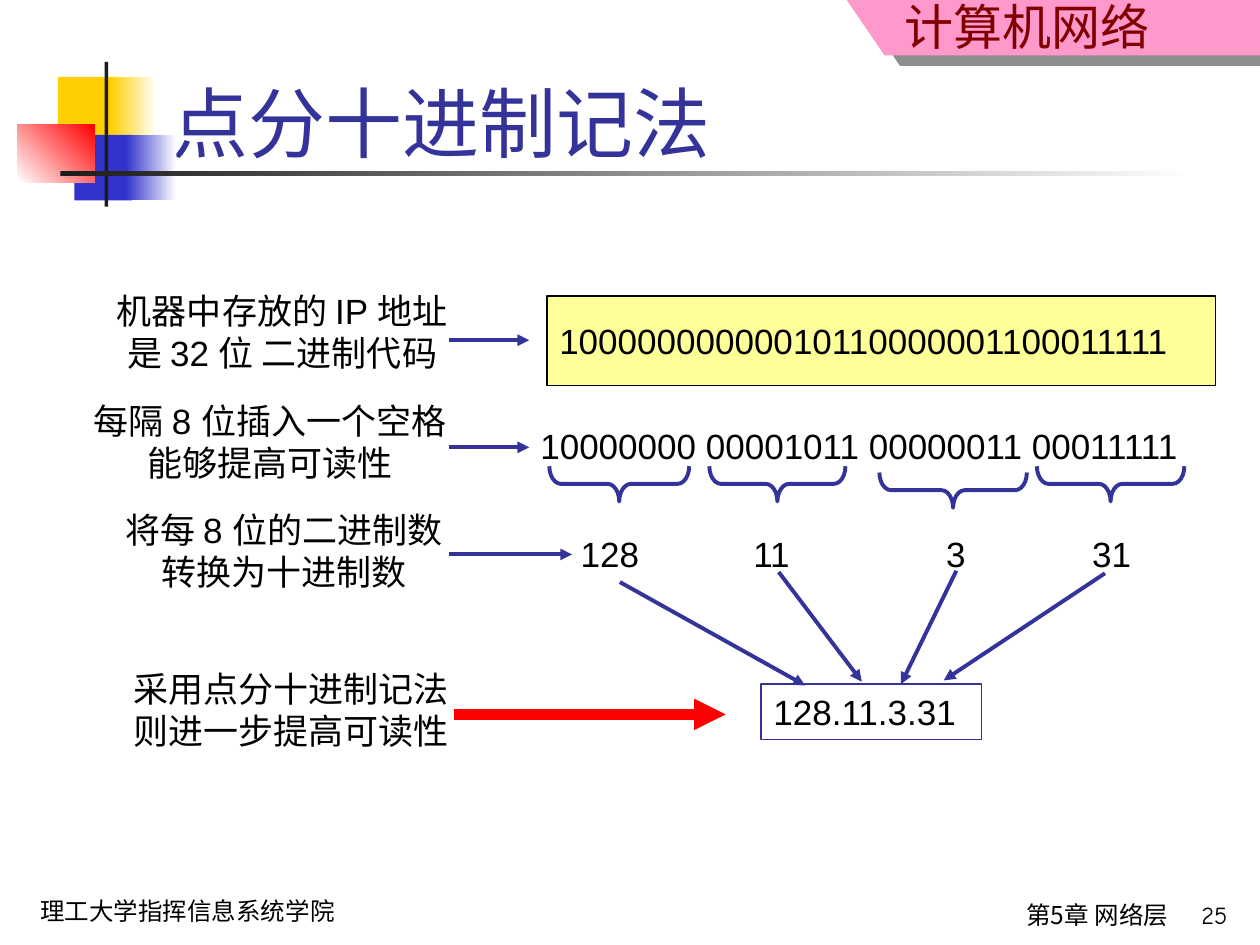
from collections import namedtuple

from lxml import etree
from pptx import Presentation
from pptx import util as u
from pptx.dml.color import RGBColor
from pptx.enum import shapes, text
from pptx.oxml import ns

COLS, ROWS = 100, 75
ARIAL, COMIC, NOTO = "Arial", "Comic Neue", "Noto Sans CJK SC"
LEFT, CENTER, RIGHT = text.PP_ALIGN.LEFT, text.PP_ALIGN.CENTER, text.PP_ALIGN.RIGHT
C = {
    "gold": "FFCF01", "blue": "3333CC", "red": "FF0000", "white": "FFFFFF",
    "dark": "1C1C1C", "pink": "FF99CC", "maroon": "800000", "black": "000000",
    "navy": "333399", "yellow": "FFFF99",
}
Box = namedtuple("Box", "x y w h")


def grid(n):
    """Turn grid units into a length."""
    return u.Inches(n / 10)


def inside(box, x, y, w, h):
    """Return a box offset from the corner of another box."""
    return Box(box.x + x, box.y + y, w, h)


def rgb(name):
    """Look up a colour."""
    return RGBColor.from_string(C[name])


def add_el(parent, tag, **attrs):
    """Append a drawing element."""
    return etree.SubElement(parent, ns.qn(tag), {k: str(v) for k, v in attrs.items()})


def style(sp, fill=None, line=None, width=0.75):
    """Set fill and outline and drop the shadow."""
    sp.shadow.inherit = False
    if fill:
        sp.fill.solid()
        sp.fill.fore_color.rgb = rgb(fill)
    else:
        sp.fill.background()
    if line:
        sp.line.color.rgb = rgb(line)
        sp.line.width = u.Pt(width)
    else:
        sp.line.fill.background()
    return sp


def shape(s, kind, box, **look):
    """Add a preset shape."""
    return style(s.shapes.add_shape(kind, *map(grid, box)), **look)


def rect(s, box, **look):
    """Add a rectangle."""
    return shape(s, shapes.MSO_SHAPE.RECTANGLE, box, **look)


def faded(s, box, start, end, angle=0):
    """Add a rectangle with a linear gradient."""
    sp = rect(s, box)
    sp.fill.gradient()
    sp.fill.gradient_angle = angle
    for stop, name, pos in zip(sp.fill.gradient_stops, (start, end), (0, 1)):
        stop.color.rgb = rgb(name)
        stop.position = pos


def write(sp, lines, size=20, font=ARIAL, color="black", align=LEFT,
          wrap=False, anchor=text.MSO_ANCHOR.TOP, tabs=()):
    """Fill a shape with one paragraph for each line."""
    tf = sp.text_frame
    tf.word_wrap = wrap
    tf.auto_size = text.MSO_AUTO_SIZE.NONE
    tf.vertical_anchor = anchor
    for i, line in enumerate(lines):
        p = tf.add_paragraph() if i else tf.paragraphs[0]
        p.alignment = align
        if tabs:
            stops = add_el(p._p.get_or_add_pPr(), "a:tabLst")
            for stop in tabs:
                add_el(stops, "a:tab", pos=grid(stop), algn="l")
        r = p.add_run()
        r.text = line
        r.font.size = u.Pt(size)
        r.font.name = font
        r.font.color.rgb = rgb(color)
        add_el(r._r.get_or_add_rPr(), "a:ea", typeface=NOTO)
    return tf


def label(s, box, *lines, **look):
    """Add a text box."""
    return write(s.shapes.add_textbox(*map(grid, box)), lines, **look)


def arrow(s, x1, y1, x2, y2, color="navy", width=2.25):
    """Add a straight arrow."""
    ln = s.shapes.add_connector(shapes.MSO_CONNECTOR.STRAIGHT, *map(grid, (x1, y1, x2, y2)))
    ln.line.color.rgb = rgb(color)
    ln.line.width = u.Pt(width)
    add_el(ln.line._get_or_add_ln(), "a:tailEnd", type="triangle")
    add_el(ln._element.spPr, "a:effectLst")


def brace(s, x, y, w, h):
    """Add a brace that opens upward over a box."""
    box = Box(x + (w - h) / 2, y + (h - w) / 2, h, w)
    sp = shape(s, shapes.MSO_SHAPE.LEFT_BRACE, box, line="navy", width=2.25)
    sp.rotation = 270
    sp.adjustments[0] = 0.33


def ornament(s, box):
    """Draw the coloured squares and crossed rules beside the title."""
    rect(s, inside(box, 3.2, 1.2, 4.8, 5.2), fill="gold")
    faded(s, inside(box, 7.4, 1.2, 3.6, 5.2), "gold", "white")
    rect(s, inside(box, 4.5, 5.8, 4.6, 5.2), fill="blue")
    faded(s, inside(box, 8.6, 5.8, 4, 5.2), "blue", "white")
    faded(s, inside(box, 0, 5, 6.1, 4.6), "white", "red", 45)
    rect(s, inside(box, 6.9, 0, 0.3, box.h), fill="dark")
    faded(s, inside(box, 3.4, 8.7, 90, 0.4), "dark", "white")


def banner(s, box):
    """Draw the slanted course banner in the corner."""
    right, bottom = box.x + box.w, box.y + box.h
    fb = s.shapes.build_freeform(grid(box.x), grid(box.y))
    fb.add_line_segments([(grid(x), grid(y)) for x, y in
                          ((box.x + 3, bottom), (right, bottom), (right, box.y))])
    sp = style(fb.convert_to_shape(), fill="pink")
    effects = sp._element.spPr.find(ns.qn("a:effectLst"))
    shadow = add_el(effects, "a:outerShdw", dist=u.Pt(10.8), dir=34 * 60000,
                    algn="ctr", rotWithShape=0)
    add_el(add_el(shadow, "a:srgbClr", val=C["dark"]), "a:alpha", val=50000)
    tf = label(s, inside(box, -9, -0.3, 34, 5.2), "计算机网络", size=28, font=NOTO,
               color="maroon", align=RIGHT, wrap=True)
    tf.margin_top = 0


def title(s, box):
    """Place and format the title."""
    sp = s.shapes.title
    sp.left, sp.top, sp.width, sp.height = map(grid, box)
    write(sp, ["点分十进制记法"], size=44, color="navy", wrap=True,
          anchor=text.MSO_ANCHOR.BOTTOM)


def footer(s, box):
    """Write the school, the chapter and the page number."""
    label(s, inside(box, 0, 0, 31.1, 3.4), "理工大学指挥信息系统学院",
          size=14, font=COMIC, wrap=True)
    label(s, inside(box, 40.7, 0.3, 50.8, 4.1), "第5章 网络层",
          size=14, font=NOTO, align=RIGHT, wrap=True)
    label(s, inside(box, 88.3, 0.3, 7.9, 3.8), "25", size=14, font=COMIC,
          align=RIGHT, wrap=True)


def steps(s, box):
    """Explain each step on the left, with an arrow to its result."""
    rows = (
        (1.8, 0, 30.4, CENTER, ("机器中存放的 IP 地址", "是 32 位 二进制代码")),
        (0, 8.7, 32.1, CENTER, ("每隔 8 位插入一个空格", "能够提高可读性")),
        (2.5, 17.4, 29.3, CENTER, ("将每 8 位的二进制数", "转换为十进制数")),
        (4.2, 30, 27, LEFT, ("采用点分十进制记法", "则进一步提高可读性")),
    )
    for x, y, w, align, lines in rows:
        label(s, inside(box, x, y, w, 7.7), *lines, align=align)
    start = box.x + 30.2
    for y, length in ((4.5, 6.4), (13, 6.4), (21.5, 9.8)):
        arrow(s, start, box.y + y, start + length, box.y + y)
    arrow(s, start + 0.4, box.y + 34.2, start + 22, box.y + 34.2, "red", 6)


def conversion(s, box):
    """Show the address from 32 bits down to dotted decimal."""
    code = rect(s, inside(box, 1.5, 0, 53.1, 7.1), fill="yellow", line="black")
    write(code, ["10000000000010110000001100011111"], anchor=text.MSO_ANCHOR.MIDDLE)
    label(s, inside(box, 0, 9.7, 54.6, 4.4), "10000000 00001011 00000011 00011111")
    for x, y, w in ((1.7, 13.5, 11.1), (14.4, 13.5, 10.8), (27.9, 14, 11.7), (40.4, 13.5, 11.7)):
        brace(s, box.x + x, box.y + y, w, 2.8)
    label(s, inside(box, 3.2, 18.3, 46.8, 4.4), "128\t11\t3\t31", tabs=(13.7, 29, 40.6))
    result = rect(s, inside(box, 18.5, 30.8, 17.5, 4.4), line="navy")
    write(result, ["128.11.3.31"])
    for x1, y1, x2, y2 in ((7.3, 22.7, 22, 30.9), (19.9, 21.9, 26.5, 30.6),
                           (34, 21.8, 29.6, 30.8), (45.8, 22, 33, 30.5)):
        arrow(s, box.x + x1, box.y + y1, box.x + x2, box.y + y2)


def main():
    """Build and save the slide."""
    prs = Presentation()
    prs.slide_width, prs.slide_height = grid(COLS), grid(ROWS)
    s = prs.slides.add_slide(prs.slide_layouts[5])
    ornament(s, Box(1.4, 4.9, 93.4, 11.5))
    banner(s, Box(67.2, 0, 32.8, 4.4))
    title(s, Box(12.6, 2.8, 85.2, 11))
    footer(s, Box(2.2, 70.6, 96.2, 4.4))
    steps(s, Box(5.4, 22.5, 32.1, 37.7))
    conversion(s, Box(41.9, 23.5, 54.6, 35.2))
    prs.save("out.pptx")


if __name__ == "__main__":
    main()
